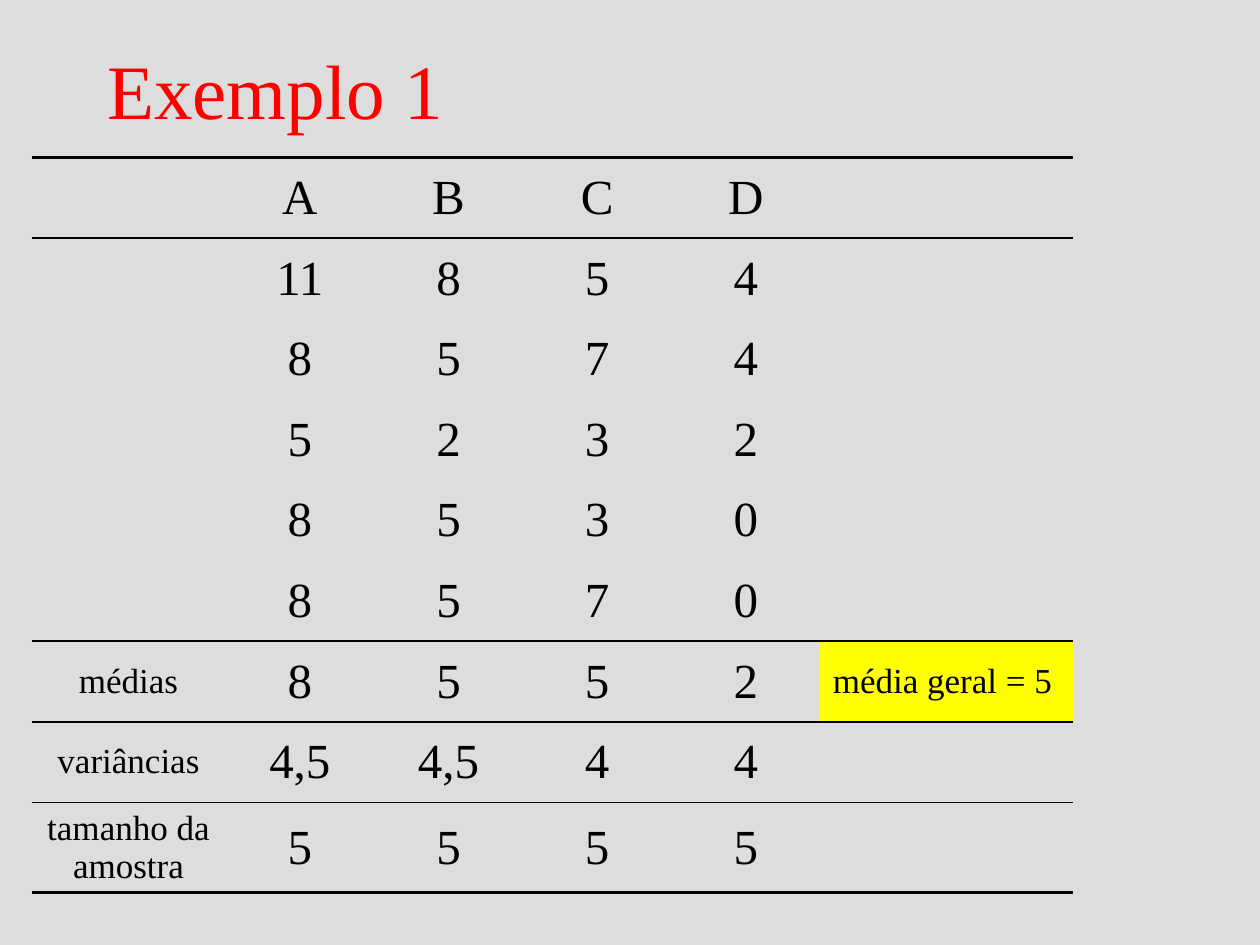
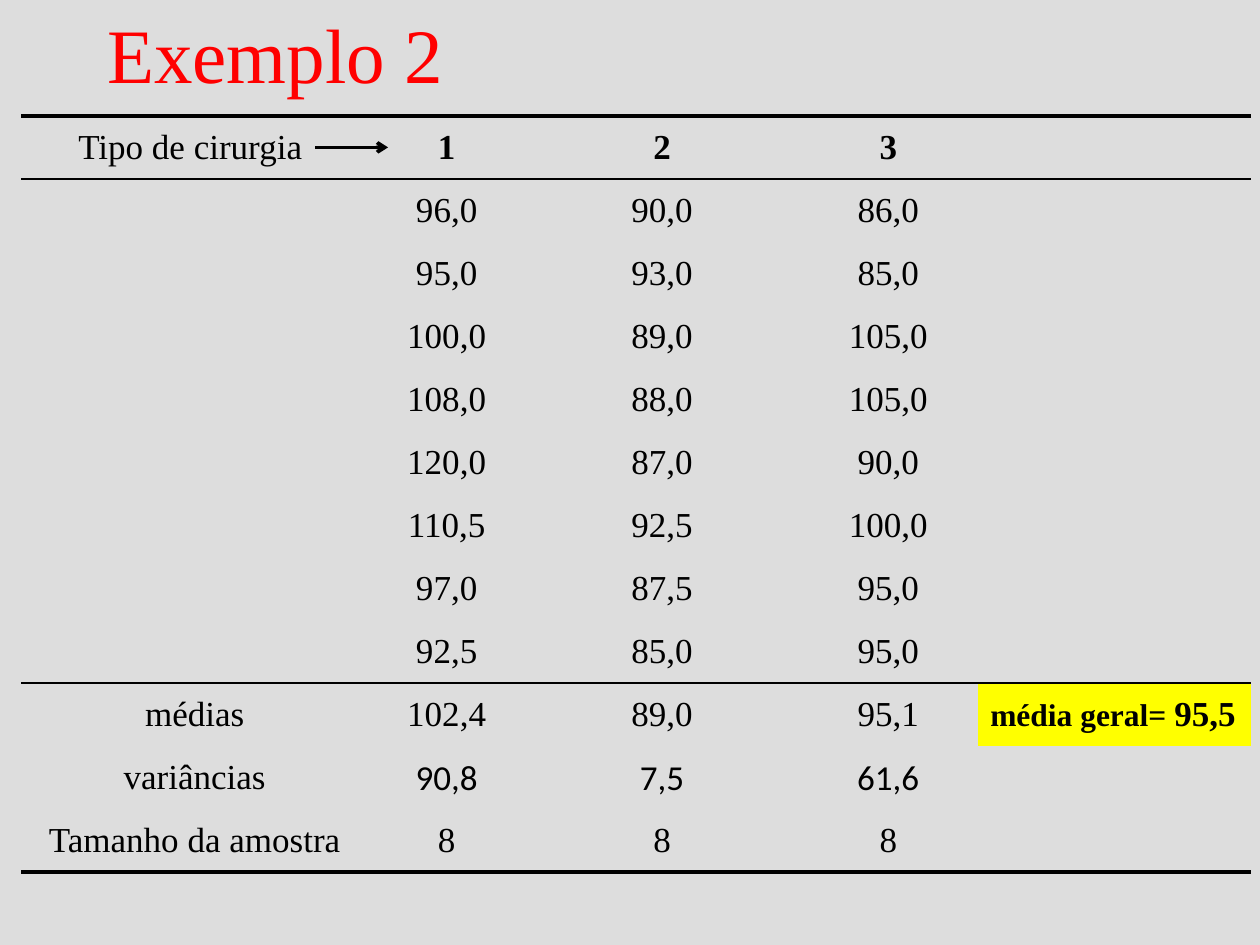
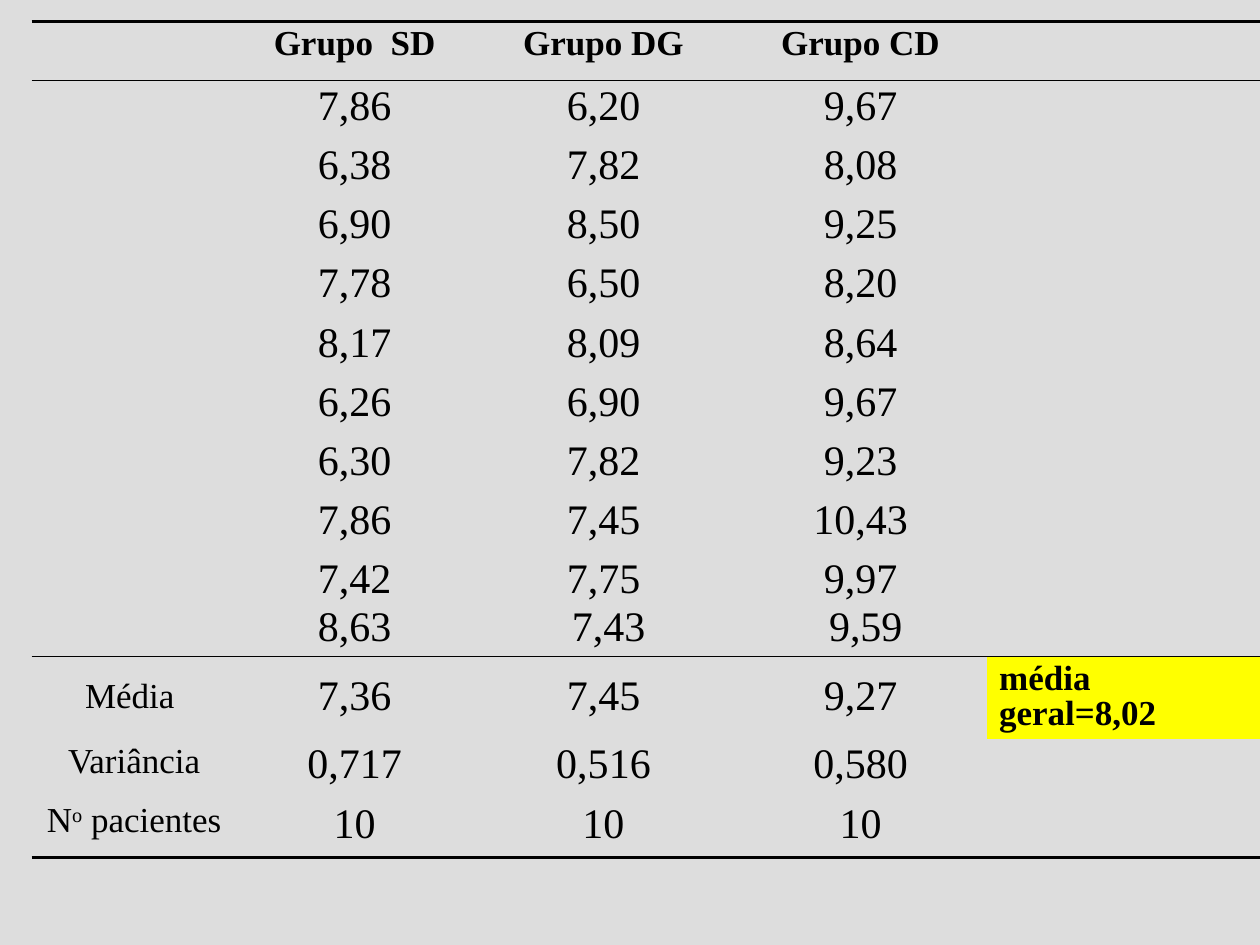
from dataclasses import dataclass

from lxml.etree import SubElement
from pptx import Presentation
from pptx.dml.color import RGBColor
from pptx.enum.shapes import MSO_CONNECTOR
from pptx.enum.text import MSO_ANCHOR, MSO_AUTO_SIZE, PP_ALIGN
from pptx.oxml.ns import qn
from pptx.util import Inches, Pt


# Theme
@dataclass(frozen=True)
class Theme:
    background: str = "DDDDDD"
    title: str = "FF0000"
    ink: str = "000000"
    highlight: str = "FFFF00"
    font: str = "Times New Roman"
    alt_font: str = "Calibri"
    title_size: int = 44
    large: int = 28
    medium: int = 24
    label: int = 20
    small: int = 18
    thick: float = 2.25
    arrow: float = 2
    thin: float = 1
    space_before: float = 3.6


THEME = Theme()
TITLE_ONLY, BLANK = 5, 6


def write(tf, text, size=THEME.label, color=THEME.ink, font=THEME.font, bold=False,
          align=PP_ALIGN.CENTER, before=THEME.space_before, line=None):
    """Fill a text frame; text is a string or a list of (text, run options)."""
    paragraphs = [[(t, {})] for t in text.split("\n")] if isinstance(text, str) else [text]
    for i, runs in enumerate(paragraphs):
        p = tf.add_paragraph() if i else tf.paragraphs[0]
        p.alignment, p.space_before, p.line_spacing = align, Pt(before), line
        for run_text, options in runs:
            r = p.add_run()
            r.text = run_text
            r.font.name, r.font.bold = font, bold
            r.font.size = Pt(options.get("size", size))
            r.font.color.rgb = RGBColor.from_string(color)
            if "baseline" in options:
                r._r.get_or_add_rPr().set("baseline", str(options["baseline"] * 1000))


class Deck:
    """Holds the theme and the current slide."""

    def __init__(self, theme):
        self.theme = theme
        self.prs = Presentation()
        self.prs.slide_width, self.prs.slide_height = Inches(10), Inches(7.5)
        fill = self.prs.slide_master.background.fill
        fill.solid()
        fill.fore_color.rgb = RGBColor.from_string(theme.background)
        self.s = None

    def slide(self, layout):
        self.s = self.prs.slides.add_slide(self.prs.slide_layouts[layout])

    def title(self, text, top, height, anchor):
        sp = self.s.shapes.title
        sp.left, sp.top, sp.width, sp.height = map(Inches, (0.75, top, 8.5, height))
        tf = sp.text_frame
        tf.word_wrap, tf.auto_size, tf.vertical_anchor = True, MSO_AUTO_SIZE.NONE, anchor
        write(tf, text, size=self.theme.title_size, color=self.theme.title,
              align=PP_ALIGN.LEFT, before=0)

    def borders(self, cell, top, bottom):
        tc_pr = cell._tc.get_or_add_tcPr()
        for side, width in (("L", None), ("R", None), ("T", top), ("B", bottom)):
            ln = SubElement(tc_pr, qn(f"a:ln{side}"))
            if width:
                ln.set("w", str(Pt(width)))
                fill = SubElement(ln, qn("a:solidFill"))
                SubElement(fill, qn("a:srgbClr")).set("val", self.theme.ink)
            else:
                SubElement(ln, qn("a:noFill"))

    def table(self, left, top, cols, heights, rows, thin_rules, formats):
        """Formats are keyed (row, column); None stands for every row or column."""
        gf = self.s.shapes.add_table(len(rows), len(cols), Inches(left), Inches(top),
                                     Inches(sum(cols)), Inches(sum(heights)))
        table = gf.table
        table.first_row = table.horz_banding = False
        for column, width in zip(table.columns, cols):
            column.width = Inches(width)
        rules = {i: self.theme.thin for i in thin_rules}
        rules[0] = rules[len(rows)] = self.theme.thick
        for i, values in enumerate(rows):
            table.rows[i].height = Inches(heights[i])
            for j, value in enumerate(values):
                fmt = {}
                for key in ((None, None), (None, j), (i, None), (i, j)):
                    fmt.update(formats.get(key, {}))
                self.cell(table.cell(i, j), value, rules.get(i), rules.get(i + 1), **fmt)

    def cell(self, cell, value, top, bottom, fill=None, anchor=MSO_ANCHOR.MIDDLE,
             margin=None, **text_format):
        self.borders(cell, top, bottom)
        if fill:
            cell.fill.solid()
            cell.fill.fore_color.rgb = RGBColor.from_string(fill)
        else:
            cell.fill.background()
        cell.vertical_anchor = anchor
        if margin is not None:
            cell.margin_left = cell.margin_right = cell.margin_top = Inches(margin)
            cell.margin_bottom = 0
        if value:
            write(cell.text_frame, value, **text_format)

    def arrow(self, x1, y1, x2, y2):
        c = self.s.shapes.add_connector(MSO_CONNECTOR.STRAIGHT, *map(Inches, (x1, y1, x2, y2)))
        c.line.color.rgb = RGBColor.from_string(self.theme.ink)
        c.line.width = Pt(self.theme.arrow)
        SubElement(c.line._get_or_add_ln(), qn("a:tailEnd")).set("type", "arrow")
        SubElement(c._element.spPr, qn("a:effectLst"))


def main():
    deck = Deck(THEME)
    label = {"size": THEME.label}
    overall_mean = {"fill": THEME.highlight, "align": PP_ALIGN.LEFT}

    # Example 1: four samples
    deck.slide(TITLE_ONLY)
    deck.title("Exemplo 1", 0.08, 1.25, MSO_ANCHOR.MIDDLE)
    deck.table(
        0.25, 1.25, [1.54] + [1.18] * 4 + [2.01], [0.64] * 8 + [0.71],
        [("", "A", "B", "C", "D", ""),
         ("", "11", "8", "5", "4", ""),
         ("", "8", "5", "7", "4", ""),
         ("", "5", "2", "3", "2", ""),
         ("", "8", "5", "3", "0", ""),
         ("", "8", "5", "7", "0", ""),
         ("médias", "8", "5", "5", "2", "média geral = 5"),
         ("variâncias", "4,5", "4,5", "4", "4", ""),
         ("tamanho da amostra", "5", "5", "5", "5", "")],
        thin_rules=(1, 6, 7, 8),
        formats={(None, None): {"size": THEME.large}, (None, 0): label,
                 (6, 5): {**overall_mean, **label}})

    # Example 2: types of surgery
    deck.slide(TITLE_ONLY)
    deck.title("Exemplo 2", 0, 1, MSO_ANCHOR.TOP)
    variance = {"font": THEME.alt_font, "margin": 0.01, "before": 0}
    deck.table(
        0.17, 0.92, [2.75, 1.25, 2.17, 1.42, 2.17], [0.5] * 12,
        [("Tipo de cirurgia ", "1", "2", "3", ""),
         ("", "96,0", "90,0", "86,0", ""),
         ("", "95,0", "93,0", "85,0", ""),
         ("", "100,0", "89,0", "105,0", ""),
         ("", "108,0", "88,0", "105,0", ""),
         ("", "120,0", "87,0", "90,0", ""),
         ("", "110,5", "92,5", "100,0", ""),
         ("", "97,0", "87,5", "95,0", ""),
         ("", "92,5", "85,0", "95,0", ""),
         ("médias", "102,4", "89,0", "95,1",
          [("média geral= ", {"size": THEME.small}), ("95,5", {})]),
         ("variâncias", "90,8", "7,5", "61,6", ""),
         ("Tamanho da amostra", "8", "8", "8", "")],
        thin_rules=(1, 9),
        formats={(0, None): {"bold": True}, (0, 0): {"bold": False},
                 (9, 4): {**overall_mean, "bold": True},
                 **{(10, j): variance for j in (1, 2, 3)}})
    deck.arrow(2.5, 1.17, 3.08, 1.17)

    # Example 3: groups of patients
    deck.slide(BLANK)
    deck.table(
        0.25, 0.17, [1.63, 1.87, 2.08, 2, 2.17], [0.47] * 9 + [0.8, 0.65, 0.47, 0.47],
        [("", "Grupo  SD", "Grupo DG", "Grupo CD", ""),
         ("", "7,86", "6,20", "9,67", ""),
         ("", "6,38", "7,82", "8,08", ""),
         ("", "6,90", "8,50", "9,25", ""),
         ("", "7,78", "6,50", "8,20", ""),
         ("", "8,17", "8,09", "8,64", ""),
         ("", "6,26", "6,90", "9,67", ""),
         ("", "6,30", "7,82", "9,23", ""),
         ("", "7,86", "7,45", "10,43", ""),
         ("", "7,42\n8,63", "7,75\n 7,43", "9,97\n 9,59", ""),
         ("Média ", "7,36", "7,45", "9,27", "média geral=8,02"),
         ("Variância", "0,717", "0,516", "0,580", ""),
         ([("N", {}), ("o", {"baseline": 30}), (" pacientes", {})], "10", "10", "10", "")],
        thin_rules=(1, 10),
        formats={(None, None): {"size": THEME.medium, "line": 0.9, "anchor": MSO_ANCHOR.TOP},
                 (None, 0): label, (0, None): {**label, "bold": True},
                 (10, None): {"anchor": MSO_ANCHOR.MIDDLE},
                 (10, 4): {**overall_mean, **label, "bold": True}})

    deck.prs.save("out.pptx")


if __name__ == "__main__":
    main()
